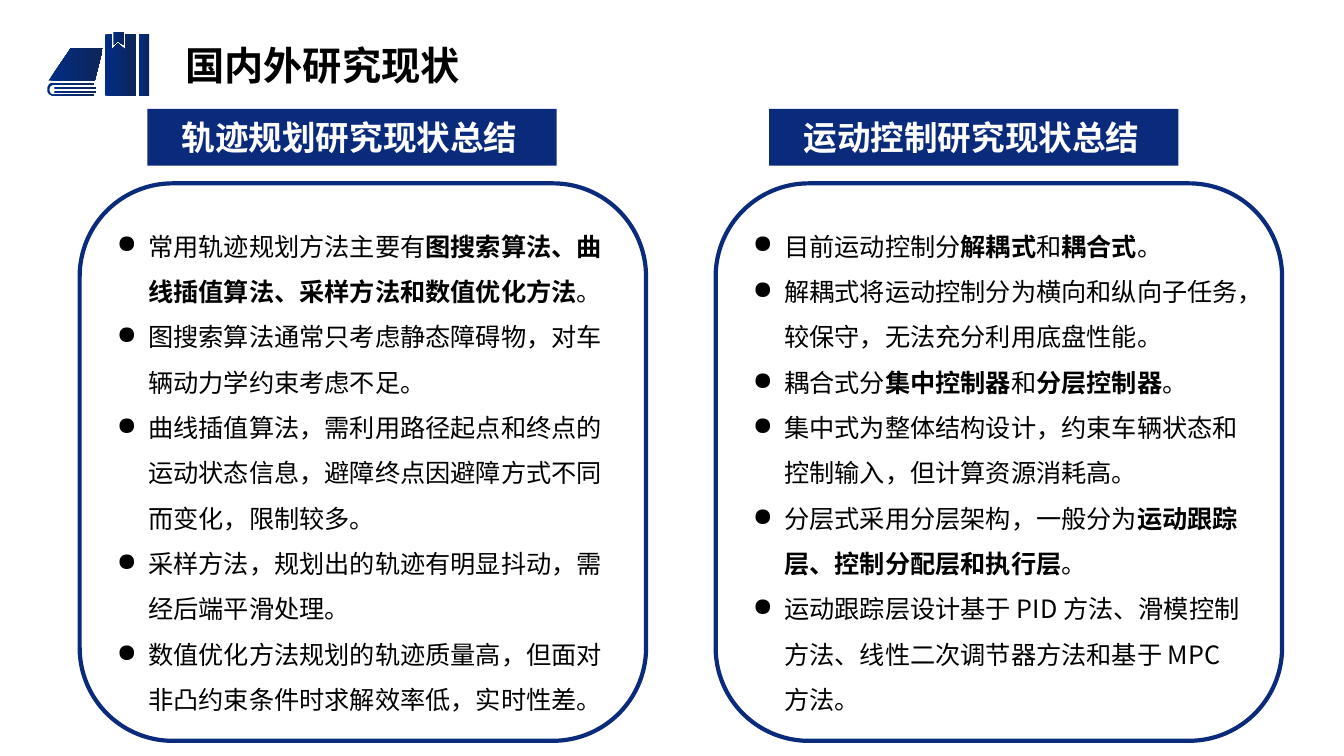
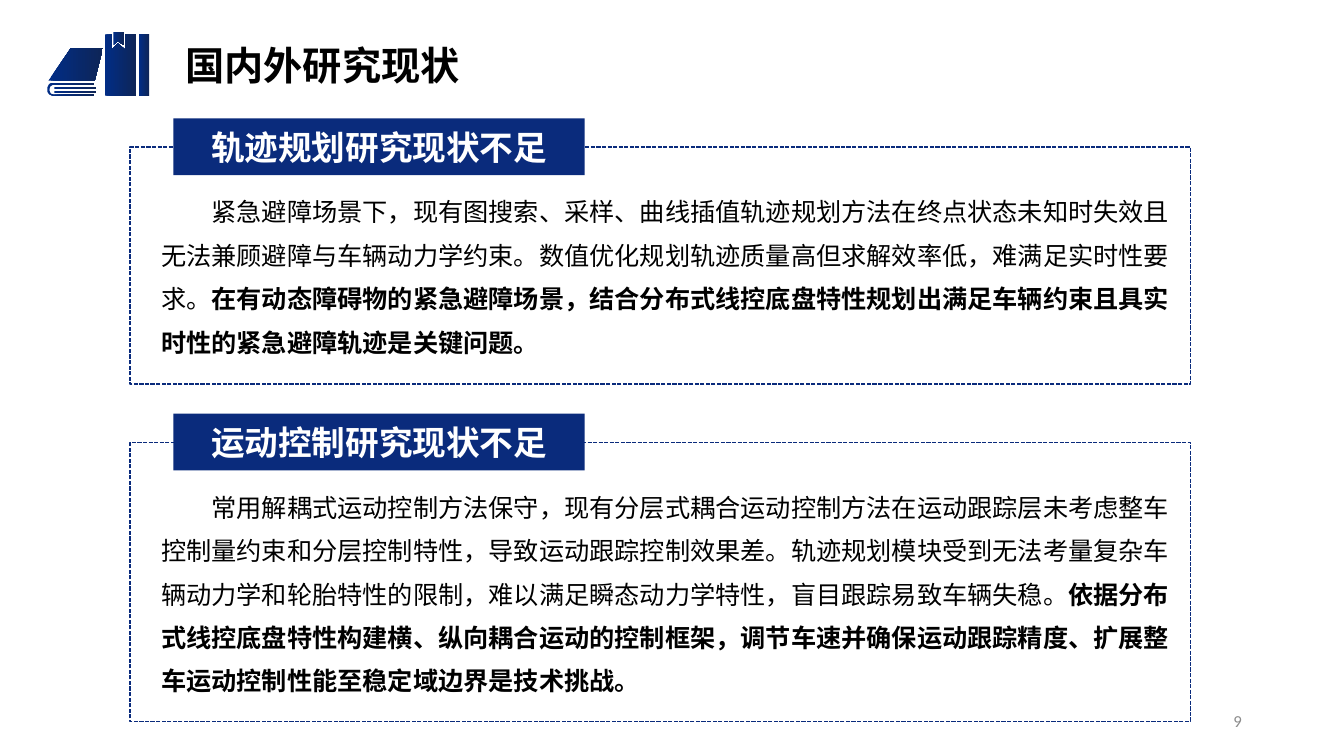
from lxml.etree import SubElement
from pptx import Presentation
from pptx.dml.color import RGBColor
from pptx.enum.dml import MSO_LINE
from pptx.enum.shapes import MSO_SHAPE
from pptx.enum.text import MSO_ANCHOR, MSO_AUTO_SIZE, PP_ALIGN
from pptx.oxml.ns import qn
from pptx.util import Pt

COLORS = {
    "navy": "0A2B7C",
    "book_light": "012D86",
    "book_dark": "0E2557",
    "white": "FFFFFF",
    "black": "000000",
    "gray": "8C8C8C",
}
CJK_FONT = "Noto Sans CJK SC"
LATIN_FONT = "Calibri"
TITLE = "国内外研究现状"

# Left, top, width, height of the book's straight bars
BOOK_BARS = [
    (99.4, 24.5, 7.2, 43.9),
    (38.9, 61.9, 29.5, 1.4),
    (38.9, 64.8, 29.5, 1.4),
]
LYING_COVER = [(73.4, 34.6), (67.7, 57.6), (34.6, 57.6), (50.4, 34.6)]
STANDING_COVER = [
    (97.2, 24.5), (97.2, 68.4), (74.9, 68.4), (74.9, 24.5), (79.9, 24.5),
    (79.9, 35.3), (84.2, 31), (89.3, 35.3), (89.3, 24.5),
]
PAGE_EDGE = [
    (67.7, 67.7), (67.7, 68.4), (37.4, 68.4), (35, 67.3), (33.8, 65.5),
    (33.8, 62.6), (35, 60.2), (37.4, 59), (67.7, 59), (67.7, 60.5),
    (38.2, 60.5), (36.2, 61.3), (35.3, 63.4), (35.3, 64.8), (36.2, 66.9),
    (38.2, 67.7),
]
RIBBON = [(88.6, 23), (88.6, 32.4), (84.2, 29.5), (81, 32.4), (81, 23)]
BOOK_OUTLINES = [LYING_COVER, STANDING_COVER, PAGE_EDGE, RIBBON]

# Asterisks enclose bold text
SUMMARIES = [
    ("轨迹规划研究现状总结", 105.2, 56.9, [
        "常用轨迹规划方法主要有*图搜索算法、曲线插值算法、采样方法和数值优化方法*。",
        "图搜索算法通常只考虑静态障碍物，对车辆动力学约束考虑不足。",
        "曲线插值算法，需利用路径起点和终点的运动状态信息，避障终点因避障方式不同而变化，限制较多。",
        "采样方法，规划出的轨迹有明显抖动，需经后端平滑处理。",
        "数值优化方法规划的轨迹质量高，但面对非凸约束条件时求解效率低，实时性差。",
    ]),
    ("运动控制研究现状总结", 549.4, 511.2, [
        "目前运动控制分*解耦式*和*耦合式*。",
        "解耦式将运动控制分为横向和纵向子任务，较保守，无法充分利用底盘性能。",
        "耦合式分*集中控制器*和*分层控制器*。",
        "集中式为整体结构设计，约束车辆状态和控制输入，但计算资源消耗高。",
        "分层式采用分层架构，一般分为*运动跟踪层、控制分配层和执行层*。",
        "运动跟踪层设计基于 PID 方法、滑模控制方法、线性二次调节器方法和基于 MPC 方法。",
    ]),
]
SHORTCOMINGS = [
    ("轨迹规划研究现状不足", 105.1, 169.2,
     "紧急避障场景下，现有图搜索、采样、曲线插值轨迹规划方法在终点状态未知时失效且无法兼顾避障与车辆动力学约束。"
     "数值优化规划轨迹质量高但求解效率低，难满足实时性要求。"
     "*在有动态障碍物的紧急避障场景，结合分布式线控底盘特性规划出满足车辆约束且具实时性的紧急避障轨迹是关键问题。*"),
    ("运动控制研究现状不足", 316.1, 199.4,
     "常用解耦式运动控制方法保守，现有分层式耦合运动控制方法在运动跟踪层未考虑整车控制量约束和分层控制特性，"
     "导致运动跟踪控制效果差。轨迹规划模块受到无法考量复杂车辆动力学和轮胎特性的限制，"
     "难以满足瞬态动力学特性，盲目跟踪易致车辆失稳。"
     "*依据分布式线控底盘特性构建横、纵向耦合运动的控制框架，调节车速并确保运动跟踪精度、"
     "扩展整车运动控制性能至稳定域边界是技术挑战。*"),
]


def color(name):
    return RGBColor.from_string(COLORS[name])


def style_paragraph(paragraph, size, color_name, font_name=CJK_FONT, bold=False,
                    align=PP_ALIGN.LEFT):
    paragraph.alignment = align
    font = paragraph.font
    font.size, font.name, font.bold = Pt(size), font_name, bold
    font.color.rgb = color(color_name)
    defaults = paragraph._p.pPr.find(qn("a:defRPr"))
    SubElement(defaults, qn("a:ea"), typeface=CJK_FONT)


def write_body(paragraph, text, line_height, margin=0, indent=0, bullet=None):
    """Write 18 pt text; asterisks enclose the bold spans."""
    properties = paragraph._p.get_or_add_pPr()
    properties.set("marL", str(Pt(margin)))
    properties.set("indent", str(Pt(indent)))
    if bullet:
        SubElement(properties, qn("a:buChar"), char=bullet)
    paragraph.line_spacing = Pt(line_height)
    style_paragraph(paragraph, 18, "black")
    for position, part in enumerate(text.split("*")):
        if part:
            span = paragraph.add_run()
            span.text = part
            if position % 2:
                span.font.bold = True


def set_frame(box, anchor, left=7.2, top=3.6, right=7.2, bottom=3.6):
    frame = box.text_frame
    frame.word_wrap = True
    frame.auto_size = MSO_AUTO_SIZE.NONE
    frame.vertical_anchor = anchor
    frame.margin_left, frame.margin_top = Pt(left), Pt(top)
    frame.margin_right, frame.margin_bottom = Pt(right), Pt(bottom)
    return frame


def add_box(page, kind, left, top, width, height, fill=None, line=None, weight=1):
    box = page.shapes.add_shape(kind, Pt(left), Pt(top), Pt(width), Pt(height))
    box.shadow.inherit = False
    if fill:
        box.fill.solid()
        box.fill.fore_color.rgb = color(fill)
    else:
        box.fill.background()
    if line:
        box.line.color.rgb = color(line)
        box.line.width = Pt(weight)
    else:
        box.line.fill.background()
    return box


def shade_book(part):
    part.shadow.inherit = False
    part.line.fill.background()
    part.fill.gradient()
    part.fill.gradient_angle = 0
    for stop, name in zip(part.fill.gradient_stops, ("book_light", "book_dark")):
        stop.color.rgb = color(name)


def add_books(page):
    for bar in BOOK_BARS:
        shade_book(add_box(page, MSO_SHAPE.RECTANGLE, *bar))
    for outline in BOOK_OUTLINES:
        start, *others = [(Pt(x), Pt(y)) for x, y in outline]
        builder = page.shapes.build_freeform(*start)
        builder.add_line_segments(others, close=True)
        shade_book(builder.convert_to_shape())


def add_page(deck):
    """Add a slide with the shared title and book emblem."""
    page = deck.slides.add_slide(deck.slide_layouts[5])
    add_books(page)
    title = page.shapes.title
    title.left, title.top = Pt(125.3), Pt(29.5)
    title.width, title.height = Pt(480), Pt(41)
    paragraph = set_frame(title, MSO_ANCHOR.TOP).paragraphs[0]
    paragraph.text = TITLE
    paragraph.line_spacing = 0.9
    style_paragraph(paragraph, 28, "black", bold=True)
    return page


def add_banner(page, text, left, top, width, inset):
    banner = add_box(page, MSO_SHAPE.RECTANGLE, left, top, width, 40.6, "navy")
    frame = set_frame(banner, MSO_ANCHOR.MIDDLE, left=inset)
    paragraph = frame.paragraphs[0]
    paragraph.text = text
    style_paragraph(paragraph, 24, "white", LATIN_FONT, bold=True)


def add_summary(page, heading, banner_left, panel_left, points):
    add_banner(page, heading, banner_left, 77.8, 292.4, inset=24.5)
    panel = add_box(page, MSO_SHAPE.ROUNDED_RECTANGLE, panel_left, 131, 404.6, 398.2,
                    "white", "navy", 3)
    panel.adjustments[0] = 0.167
    frame = set_frame(panel, MSO_ANCHOR.MIDDLE, top=8)
    for position, point in enumerate(points):
        paragraph = frame.add_paragraph() if position else frame.paragraphs[0]
        write_body(paragraph, point, 32.4, margin=22.5, indent=-22.5, bullet="●")


def add_shortcoming(page, heading, top, height, text):
    panel = add_box(page, MSO_SHAPE.RECTANGLE, 92.9, top, 757.4, height, line="navy")
    panel.line.dash_style = MSO_LINE.SQUARE_DOT
    frame = set_frame(panel, MSO_ANCHOR.TOP, left=22.2, top=26, right=8)
    write_body(frame.paragraphs[0], text, 31, indent=36)
    add_banner(page, heading, 123.8, top - 20.6, 293.8, inset=27)


def add_page_number(page, number):
    box = page.shapes.add_textbox(Pt(678.2), Pt(500.4), Pt(216), Pt(28.8))
    paragraph = set_frame(box, MSO_ANCHOR.MIDDLE).paragraphs[0]
    paragraph.text = number
    style_paragraph(paragraph, 12, "gray", LATIN_FONT, align=PP_ALIGN.RIGHT)


def main():
    deck = Presentation()
    deck.slide_width, deck.slide_height = Pt(960), Pt(540)
    summary_page = add_page(deck)
    for summary in SUMMARIES:
        add_summary(summary_page, *summary)
    shortcoming_page = add_page(deck)
    for shortcoming in SHORTCOMINGS:
        add_shortcoming(shortcoming_page, *shortcoming)
    add_page_number(shortcoming_page, "9")
    deck.save("out.pptx")


if __name__ == "__main__":
    main()
